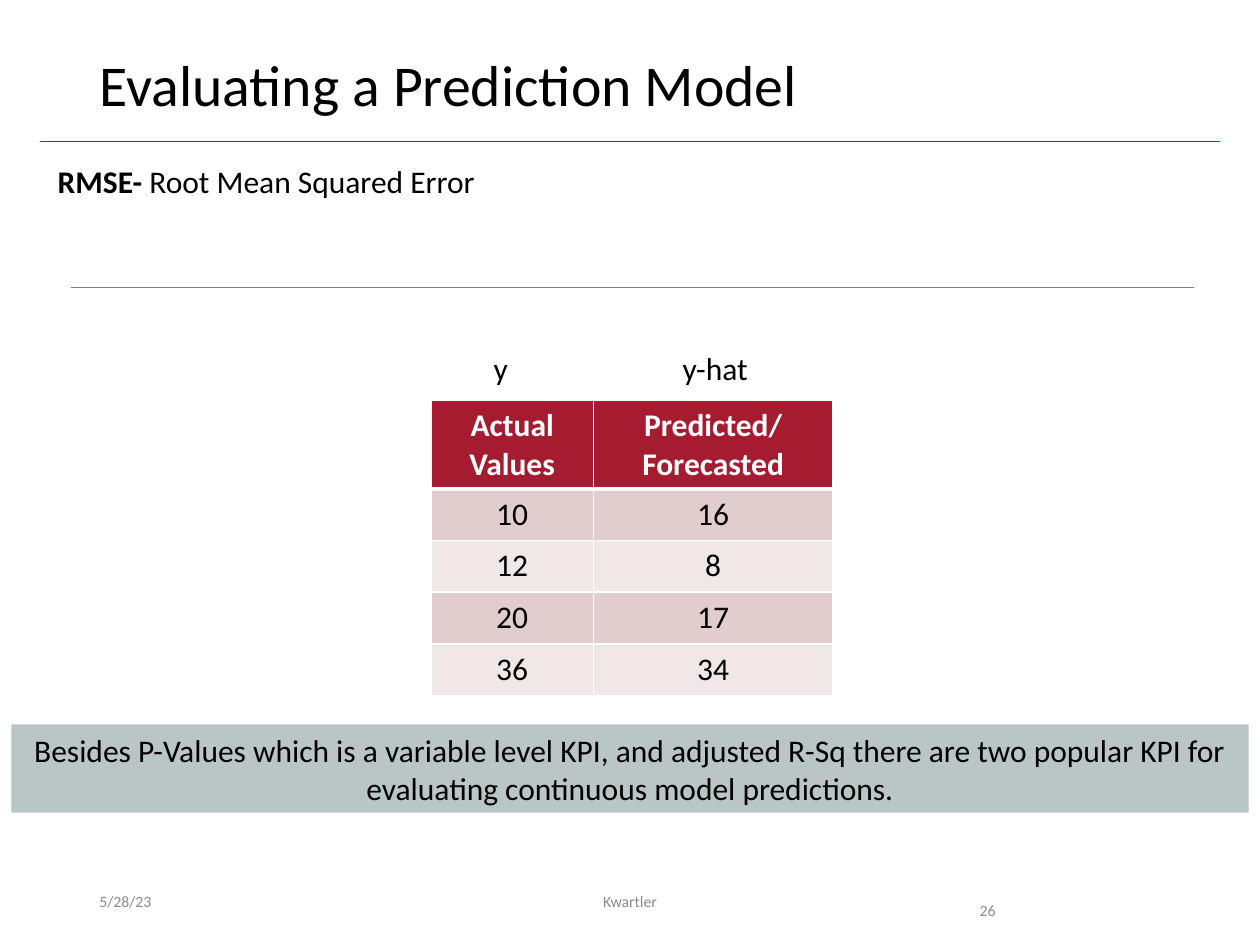
"""Build the slide on evaluating a prediction model with RMSE."""
from lxml import etree
from pptx import Presentation
from pptx.dml.color import RGBColor
from pptx.enum.shapes import MSO_CONNECTOR, MSO_SHAPE
from pptx.enum.text import MSO_ANCHOR, PP_ALIGN
from pptx.oxml.ns import qn
from pptx.util import Inches, Pt

LEFT, CENTER, RIGHT = PP_ALIGN.LEFT, PP_ALIGN.CENTER, PP_ALIGN.RIGHT
TOP, MIDDLE = MSO_ANCHOR.TOP, MSO_ANCHOR.MIDDLE
STRAIGHT, RECTANGLE = MSO_CONNECTOR.STRAIGHT, MSO_SHAPE.RECTANGLE

BLACK = RGBColor(0x00, 0x00, 0x00)
WHITE = RGBColor(0xFF, 0xFF, 0xFF)
CRIMSON = RGBColor(0xA5, 0x1C, 0x30)
GRAY = RGBColor(0x80, 0x80, 0x80)
FOOTER_GRAY = RGBColor(0x8C, 0x8C, 0x8C)
BAND_FILL = RGBColor(0xBA, 0xC5, 0xC6)
ROW_FILLS = RGBColor(0xE1, 0xCD, 0xCD), RGBColor(0xF0, 0xE8, 0xE8)

TITLE = "Evaluating a Prediction Model"
METRIC = [("RMSE-", True), (" Root Mean Squared Error", False)]
TAKEAWAY = ("Besides P-Values which is a variable level KPI, and adjusted R-Sq there are "
            "two popular KPI for evaluating continuous model predictions.")
HEADER = ("Actual Values", "Predicted/Forecasted")
VALUES = [(10, 16), (12, 8), (20, 17), (36, 34)]
COLUMN_WIDTHS = (1.29, 1.9)
ROW_HEIGHT = 0.41
COLUMN_LABELS = [("y", 3.82, 0.32), ("y-hat", 5.32, 0.73)]
FOOTERS = [("5/28/23", 0.69, 2.25, LEFT, 1), ("Kwartler", 3.31, 3.38, CENTER, 1),
           ("26", 7.06, 0.94, RIGHT, 2)]
RULES = [(0.32, 9.68, 1.12, CRIMSON), (0.56, 9.48, 2.28, GRAY)]


def write(frame, text, size=18, color=BLACK, bold=False, align=LEFT, anchor=TOP,
          spacing=1, wrap=True):
    """Fill a text frame with one paragraph; text is a string or (text, bold) runs."""
    frame.word_wrap = wrap
    frame.vertical_anchor = anchor
    paragraph = frame.paragraphs[0]
    paragraph.alignment = align
    paragraph.line_spacing = spacing
    for words, weight in [(text, bold)] if isinstance(text, str) else text:
        run = paragraph.add_run()
        run.text = words
        run.font.name = "Calibri"
        run.font.size = Pt(size)
        run.font.bold = weight
        run.font.color.rgb = color


def add_text(slide, box, text, **text_format):
    frame = slide.shapes.add_textbox(*map(Inches, box)).text_frame
    write(frame, text, **text_format)


def add_rule(slide, left, right, y, color):
    rule = slide.shapes.add_connector(
        STRAIGHT, Inches(left), Inches(y), Inches(right), Inches(y))
    rule.line.color.rgb = color
    rule.line.width = Pt(0.5)
    etree.SubElement(rule._element.spPr, qn("a:effectLst"))


def add_borders(cell, bottom):
    properties = cell._tc.get_or_add_tcPr()
    for side, width in (("L", 1), ("R", 1), ("T", 1), ("B", bottom)):
        border = etree.SubElement(properties, qn(f"a:ln{side}"), w=str(Pt(width)))
        fill = etree.SubElement(border, qn("a:solidFill"))
        etree.SubElement(fill, qn("a:srgbClr"), val=str(WHITE))


def add_values_table(slide):
    rows = [HEADER, *VALUES]
    table = slide.shapes.add_table(
        len(rows), len(HEADER), Inches(3.42), Inches(3.18),
        Inches(sum(COLUMN_WIDTHS)), Inches(ROW_HEIGHT * len(rows))).table
    for column, width in zip(table.columns, COLUMN_WIDTHS):
        column.width = Inches(width)
    for r, values in enumerate(rows):
        table.rows[r].height = Inches(ROW_HEIGHT)
        is_header = r == 0
        for c, value in enumerate(values):
            cell = table.cell(r, c)
            add_borders(cell, bottom=3 if is_header else 1)
            cell.fill.solid()
            cell.fill.fore_color.rgb = CRIMSON if is_header else ROW_FILLS[(r - 1) % 2]
            write(cell.text_frame, str(value), bold=is_header, align=CENTER,
                  color=WHITE if is_header else BLACK)


def add_takeaway(slide):
    band = slide.shapes.add_shape(RECTANGLE, *map(Inches, (0.09, 5.75, 9.82, 0.7)))
    band.shadow.inherit = False
    band.fill.solid()
    band.fill.fore_color.rgb = BAND_FILL
    band.line.fill.background()
    write(band.text_frame, TAKEAWAY, align=CENTER, anchor=MIDDLE)


def main():
    deck = Presentation()
    deck.slide_width, deck.slide_height = Inches(10), Inches(7.5)
    slide = deck.slides.add_slide(deck.slide_layouts[6])
    for rule in RULES:
        add_rule(slide, *rule)
    add_text(slide, (0.69, 0.4, 8.62, 0.65), TITLE, size=33, spacing=0.9)
    add_text(slide, (0.36, 1.24, 3.56, 0.4), METRIC, wrap=False)
    for label, left, width in COLUMN_LABELS:
        add_text(slide, (left, 2.72, width, 0.4), label, wrap=False)
    add_values_table(slide)
    add_takeaway(slide)
    for footer, left, width, align, spacing in FOOTERS:
        add_text(slide, (left, 6.95, width, 0.4), footer, size=9, color=FOOTER_GRAY,
                 align=align, anchor=MIDDLE, spacing=spacing)
    deck.save("out.pptx")


if __name__ == "__main__":
    main()
